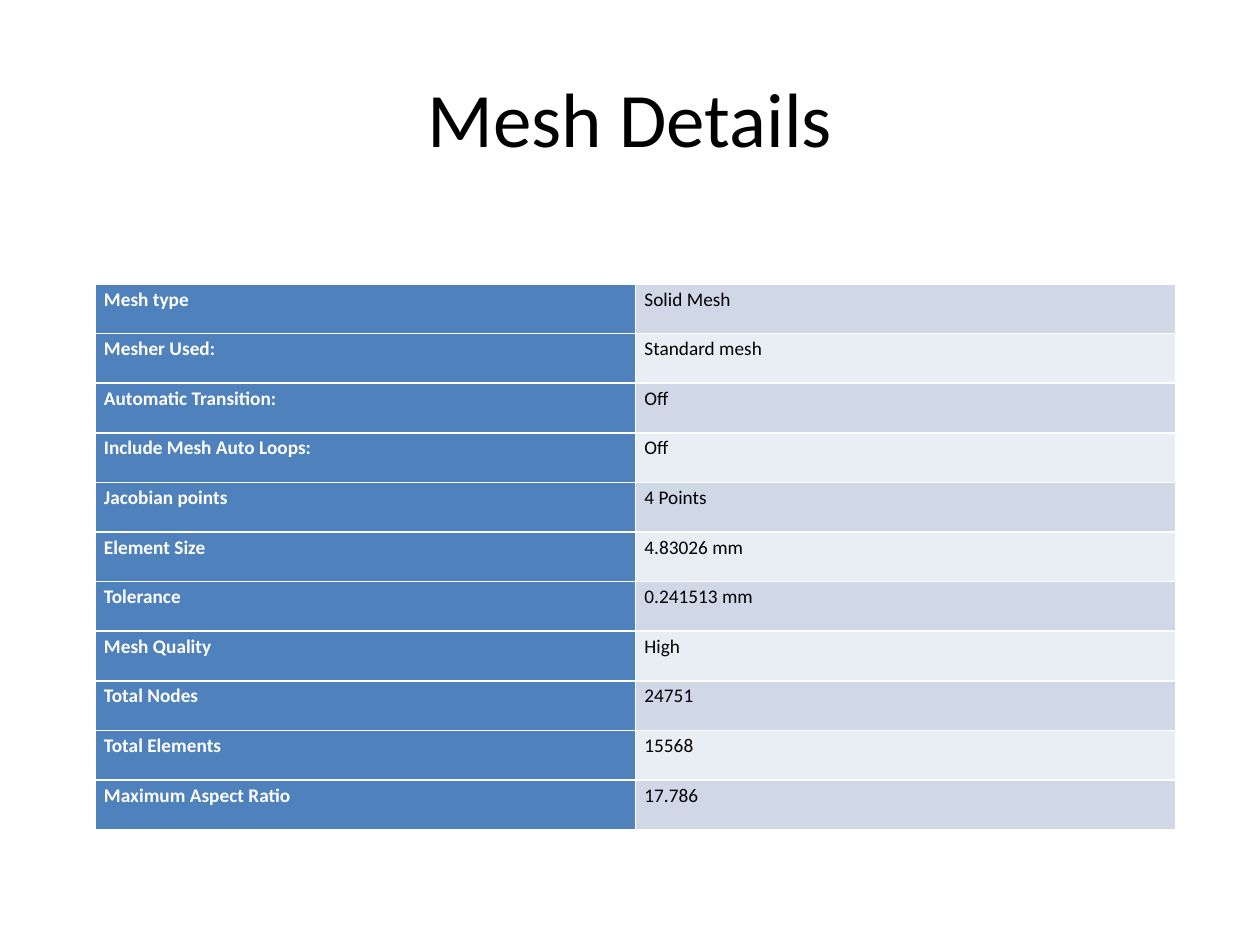
from lxml.etree import SubElement
from pptx import Presentation
from pptx.dml.color import RGBColor
from pptx.enum.text import MSO_ANCHOR, PP_ALIGN
from pptx.oxml.ns import qn
from pptx.util import Pt

WHITE = RGBColor(0xFF, 0xFF, 0xFF)
BLACK = RGBColor(0x00, 0x00, 0x00)
BLUE = RGBColor(0x4F, 0x81, 0xBD)
BANDS = [RGBColor(0xD0, 0xD8, 0xE8), RGBColor(0xE9, 0xED, 0xF4)]
FONT = "Calibri"

ROWS = [
    ("Mesh type", "Solid Mesh"),
    ("Mesher Used:", "Standard mesh"),
    ("Automatic Transition:", "Off"),
    ("Include Mesh Auto Loops:", "Off"),
    ("Jacobian points", "4 Points"),
    ("Element Size", "4.83026 mm"),
    ("Tolerance", "0.241513 mm"),
    ("Mesh Quality", "High"),
    ("Total Nodes", "24751"),
    ("Total Elements", "15568"),
    ("Maximum Aspect Ratio", "17.786"),
]


def px(n):
    return round(n * 914400 / 126)


def add_text(p, text, size, color, bold=False):
    r = p.add_run()
    r.text = text
    r.font.name = FONT
    r.font.size = Pt(size)
    r.font.bold = bold
    r.font.color.rgb = color


prs = Presentation()
prs.slide_width, prs.slide_height = px(1260), px(945)
s = prs.slides.add_slide(prs.slide_layouts[5])

title = s.shapes.title
title.left, title.top, title.width, title.height = px(63), px(38), px(1134), px(157)
tf = title.text_frame
tf.vertical_anchor = MSO_ANCHOR.MIDDLE
p = tf.paragraphs[0]
p.alignment = PP_ALIGN.CENTER
add_text(p, "Mesh Details", 44, BLACK)

table = s.shapes.add_table(len(ROWS), 2, px(95), px(284), px(1081), px(546)).table
table.first_row = False
table.horz_banding = False

for i, row in enumerate(ROWS):
    for j, text in enumerate(row):
        cell = table.cell(i, j)
        cell.margin_left = cell.margin_right = px(9)
        cell.margin_top = cell.margin_bottom = 0
        tcPr = cell._tc.get_or_add_tcPr()
        for side in ("a:lnL", "a:lnR", "a:lnT", "a:lnB"):
            ln = SubElement(tcPr, qn(side), w=str(Pt(1)))
            SubElement(SubElement(ln, qn("a:solidFill")), qn("a:srgbClr"), val=str(WHITE))
        cell.fill.solid()
        cell.fill.fore_color.rgb = BLUE if j == 0 else BANDS[i % 2]
        p = cell.text_frame.paragraphs[0]
        p.line_spacing = 1.15
        add_text(p, text, 11, WHITE if j == 0 else BLACK, bold=j == 0)

prs.save("out.pptx")
